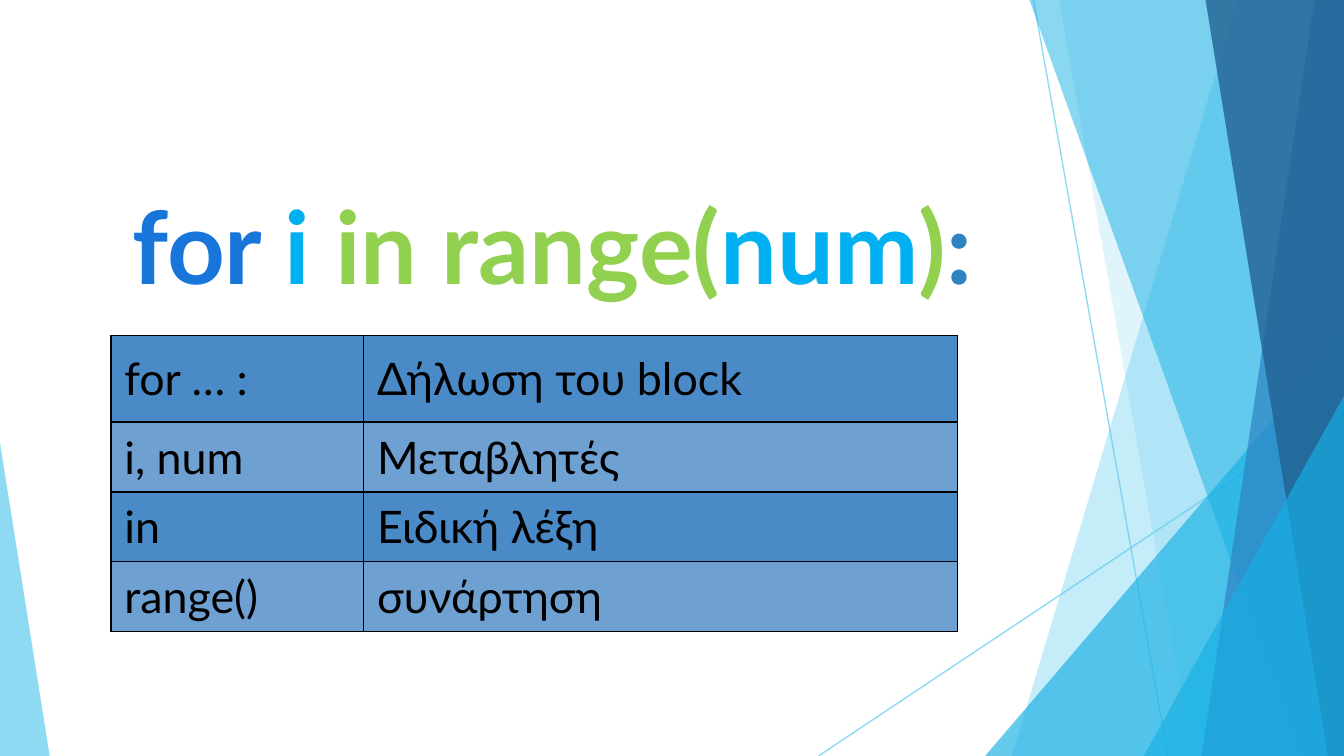
from pptx import Presentation
from pptx.dml.color import RGBColor
from pptx.enum.shapes import MSO_CONNECTOR, MSO_SHAPE
from pptx.enum.text import MSO_ANCHOR, MSO_AUTO_SIZE, PP_ALIGN
from pptx.oxml.ns import qn
from pptx.util import Pt
from lxml import etree

LINE = MSO_CONNECTOR.STRAIGHT
TRIANGLE = MSO_SHAPE.ISOSCELES_TRIANGLE
MIDDLE, CENTER = MSO_ANCHOR.MIDDLE, PP_ALIGN.CENTER
GROW = MSO_AUTO_SIZE.SHAPE_TO_FIT_TEXT

PX = 4572  # 200 px to the inch
WIDTH, HEIGHT = 2000, 1125
FONT = "Lato"
COLORS = {
    "sky": "5FCBEF", "cyan": "17B0E4", "blue": "2E83C3", "navy": "226292",
    "keyword": "1876DB", "variable": "00B0F0", "function": "92D050",
    "dark_row": "4A8AC6", "light_row": "6EA0D2", "black": "000000",
}


def rgb(name):
    return RGBColor.from_string(COLORS[name])


def emu(*lengths):
    return [n * PX for n in lengths]


def set_alpha(sp_pr, percent):
    color = next(sp_pr.iter(qn("a:srgbClr")))
    etree.SubElement(color, qn("a:alpha"), val=str(percent * 1000))


def format_font(font, color, **values):
    font.color.rgb = rgb(color)
    for name, value in {"name": FONT, **values}.items():
        setattr(font, name, value)


def paint(sp, color, alpha):
    sp.shadow.inherit = False
    sp.fill.solid()
    sp.fill.fore_color.rgb = rgb(color)
    set_alpha(sp.element.spPr, alpha)
    sp.line.fill.background()


def add_ray(s, x1, y1, x2, y2):
    ray = s.shapes.add_connector(LINE, *emu(x1, y1, x2, y2))
    ray.line.color.rgb = rgb("sky")
    ray.line.width = Pt(0.75)
    set_alpha(ray.element.spPr, 70)
    etree.SubElement(ray.element.spPr, qn("a:effectLst"))


def add_band(s, box, top_x, bottom_x, color, alpha):
    """Full-height band from a slanted left edge to the box's right edge."""
    x, y, w, h = box
    builder = s.shapes.build_freeform(x + top_x, y, scale=PX)
    builder.add_line_segments(
        [(x + w, y), (x + w, y + h), (x + bottom_x, y + h)], close=True)
    paint(builder.convert_to_shape(), color, alpha)


def add_corner(s, box, left, width, height, apex, color, alpha):
    """Triangle standing on the bottom edge; apex 0 is left, 1 is right."""
    x, y, w, h = box
    sp = s.shapes.add_shape(
        TRIANGLE, *emu(x + left, y + h - height, width, height))
    sp.adjustments[0] = apex
    paint(sp, color, alpha)


def add_facets(s, box):
    x, y, w, h = box
    add_ray(s, x + 1538, y, x + 1738, y + h)
    add_ray(s, x + w, y + 604, x + 1218, y + h)
    add_band(s, box, 1842, 1506, "sky", 36)
    add_band(s, box, 1576, 1774, "sky", 20)
    add_corner(s, box, 1466, 534, 624, 1, "cyan", 66)
    add_band(s, box, 1532, 1936, "cyan", 50)
    add_band(s, box, 1956, 1788, "blue", 70)
    add_band(s, box, 1794, 1976, "navy", 80)
    add_corner(s, box, 1702, 298, 536, 1, "cyan", 66)
    add_corner(s, box, 0, 74, 466, 0, "sky", 70)


def add_title(s, box, parts):
    title = s.shapes.title
    s.shapes.element.append(title.element)  # in front of the facets
    title.left, title.top, title.width, title.height = emu(*box)
    tf = title.text_frame
    for name, value in {"word_wrap": False, "auto_size": GROW,
                        "vertical_anchor": MIDDLE}.items():
        setattr(tf, name, value)
    p = tf.paragraphs[0]
    p.alignment = CENTER
    for text, color in parts:
        r = p.add_run()
        r.text = text
        format_font(r.font, color, size=Pt(54), bold=True)


def add_borders(cell):
    tc_pr = cell._tc.get_or_add_tcPr()
    for side in ("lnL", "lnR", "lnT", "lnB"):
        ln = etree.SubElement(tc_pr, qn(f"a:{side}"), w=str(Pt(1)))
        fill = etree.SubElement(ln, qn("a:solidFill"))
        etree.SubElement(fill, qn("a:srgbClr"), val=COLORS["black"])


def add_glossary(s, box, col_widths, row_heights, rows):
    table = s.shapes.add_table(len(rows), len(col_widths), *emu(*box)).table
    table.first_row = table.horz_banding = False
    for column, width in zip(table.columns, emu(*col_widths)):
        column.width = width
    for row, height in zip(table.rows, emu(*row_heights)):
        row.height = height
    for i, texts in enumerate(rows):
        for j, text in enumerate(texts):
            cell = table.cell(i, j)
            add_borders(cell)
            cell.fill.solid()
            cell.fill.fore_color.rgb = rgb("light_row" if i % 2 else "dark_row")
            cell.vertical_anchor = MIDDLE
            cell.text = text
            r = cell.text_frame.paragraphs[0].runs[0]
            format_font(r.font, "black", size=Pt(24))


def main():
    prs = Presentation()
    prs.slide_width, prs.slide_height = emu(WIDTH, HEIGHT)
    s = prs.slides.add_slide(prs.slide_layouts[5])

    # Background facets
    add_facets(s, (0, 0, WIDTH, HEIGHT))

    # Loop header, coloured by role
    add_title(s, (87, 263, 1470, 202), [
        ("for ", "keyword"), ("i ", "variable"), ("in range(", "function"),
        ("num", "variable"), (")", "function"), (":", "blue"),
    ])

    # Meaning of each part
    add_glossary(s, (165, 499, 1260, 441), (376, 884), (129, 104, 104, 104), [
        ("for … :", "Δήλωση του block"),
        ("i, num", "Μεταβλητές"),
        ("in", "Ειδική λέξη"),
        ("range()", "συνάρτηση"),
    ])
    prs.save("out.pptx")


if __name__ == "__main__":
    main()
